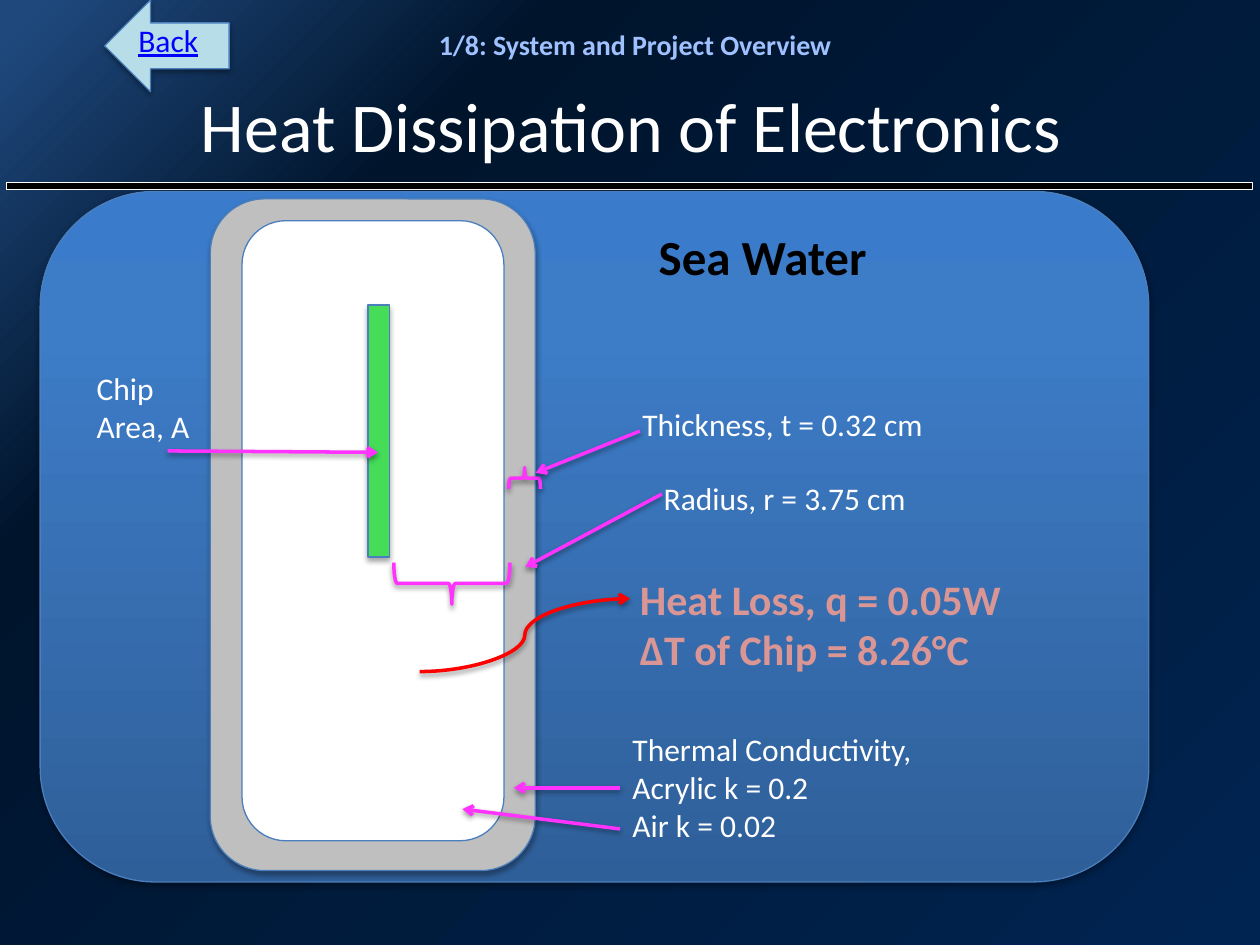
from lxml import etree
from pptx import Presentation
from pptx import util as u
from pptx.dml.color import RGBColor
from pptx.enum import shapes, text
from pptx.oxml.ns import qn

COLORS = {
    "white": "FFFFFF", "black": "000000", "edge": "4B7EBC", "acrylic": "BFBFBF",
    "chip": "45DC58", "pointer": "FF32FE", "heat": "FF0000", "result": "D99694",
    "section": "A0C1FF", "button": "B7DEE8", "link": "0000FF",
}
NIGHT = [(2, "1F497D", 100), (25, "00142C", 92), (100, "002451", 100)]
SEA = [(0, "2F5F99", 100), (80, "3D7CC7", 100), (100, "3A7CCB", 100)]
KIND = shapes.MSO_SHAPE
FONT = "Calibri"

# kind, (left, top, width, height) in cm, fill, line, line width, shadow, rotation
RULE = (KIND.RECTANGLE, (0.13, 3.68, 25.12, 0.13), "black", "white", 0.25, 0, 0)
WATER = (KIND.ROUNDED_RECTANGLE, (0.81, 3.86, 22.35, 13.92), SEA, "edge", 0.75, 35, 0)
PARTS = [
    (KIND.ROUNDED_RECTANGLE, (4.24, 4.01, 6.55, 13.54), "acrylic", "edge", 0.75, 35, 0),
    (KIND.ROUNDED_RECTANGLE, (4.88, 4.45, 5.28, 12.5), "white", "edge", 0.75, 0, 0),
    (KIND.RECTANGLE, (7.42, 6.15, 0.43, 5.08), "chip", "edge", 0.75, 35, 0),
    (KIND.LEFT_BRACE, (10.36, 9.32, 0.43, 0.64), None, "pointer", 2, 38, 90),
    (KIND.LEFT_BRACE, (8.69, 10.59, 0.84, 2.34), None, "pointer", 2, 38, 270),
]
BACK_ARROW = (KIND.LEFT_ARROW, (2.11, 0, 2.51, 1.85), "button", "edge", 0.75, 35, 0)

# lines of text, place in cm, size, colour, bold
SECTION = (["1/8: System and Project Overview"], (8.26, 0.43, 9.09, 0.94), 16, "section", True)
TITLE = (["Heat Dissipation of Electronics"], (2.24, 1.4, 20.96, 2.24), 40, "white", False)
BACK = (["Back"], (2.54, 0.3, 1.73, 1.02), 18, "link", False)
LABELS = [
    (["Thickness, t = 0.32 cm"], (12.7, 8.05, 6.22, 1.02), 18, "white", False),
    (["Heat Loss, q = 0.05W", "ΔT of Chip = 8.26°C"], (12.65, 11.43, 7.87, 2.31), 24, "result", True),
    (["Sea Water"], (13.03, 4.45, 4.75, 1.45), 28, "black", True),
    (["Thermal Conductivity,", "Acrylic k = 0.2", "Air k = 0.02"],
     (12.5, 14.6, 6.2, 3.33), 18, "white", False),
    (["Chip", "Area, A"], (1.7, 7.32, 2.41, 1.8), 18, "white", False),
    (["Radius, r = 3.75 cm"], (13.13, 9.53, 5.44, 1.02), 18, "white", False),
]

# from x, from y, to x, to y in cm
POINTERS = [
    (12.9, 8.69, 10.8, 9.53),
    (12.5, 15.88, 10.36, 15.88),
    (3.38, 9.09, 7.62, 9.12),
    (12.5, 16.71, 9.32, 16.31),
    (13.34, 9.96, 10.59, 11.43),
]
HEAT_FLOW = (8.46, 13.54, 12.7, 12.07)


def cm(values):
    return [u.Cm(value) for value in values]


def rgb(name):
    return RGBColor.from_string(COLORS[name])


def add_xml(parent, tag, **attributes):
    return etree.SubElement(parent, qn(tag), attributes)


def paint_gradient(fill, owner, stops, angle):
    """Give the fill, found inside the owner element, any number of stops."""
    fill.gradient()
    fill.gradient_angle = 360 - angle
    stop_list = owner.find(".//" + qn("a:gsLst"))
    for old in list(stop_list):
        stop_list.remove(old)
    for position, color, alpha in stops:
        stop = add_xml(stop_list, "a:gs", pos=str(position * 1000))
        tint = add_xml(stop, "a:srgbClr", val=color)
        if alpha < 100:
            add_xml(tint, "a:alpha", val=str(alpha * 1000))


def add_shadow(shape, alpha, distance):
    effects = add_xml(shape._element.spPr, "a:effectLst")
    if alpha:
        shadow = add_xml(effects, "a:outerShdw", blurRad=str(u.Pt(3.1)),
                         dist=str(u.Pt(distance)), dir="5400000", rotWithShape="0")
        tint = add_xml(shadow, "a:srgbClr", val=COLORS["black"])
        add_xml(tint, "a:alpha", val=str(alpha * 1000))


def add_part(tree, kind, place, fill, line, width, shadow, rotation):
    part = tree.add_shape(kind, *cm(place))
    part.rotation = rotation
    if fill is None:
        part.fill.background()
    elif fill in COLORS.values() or isinstance(fill, str):
        part.fill.solid()
        part.fill.fore_color.rgb = rgb(fill)
    else:
        paint_gradient(part.fill, part._element, fill, 270)
    part.line.color.rgb = rgb(line)
    part.line.width = u.Pt(width)
    add_shadow(part, shadow, 1.8)


def add_label(tree, lines, place, size, color, bold, centred=False):
    label = tree.add_textbox(*cm(place))
    frame = label.text_frame
    frame.word_wrap = centred
    frame.text = "\n".join(lines)
    for paragraph in frame.paragraphs:
        if centred:
            paragraph.alignment = text.PP_ALIGN.CENTER
        for run in paragraph.runs:
            run.font.name = FONT
            run.font.size = u.Pt(size)
            run.font.bold = bold
            run.font.color.rgb = rgb(color)
    return label


def add_arrow(tree, kind, ends, color):
    arrow = tree.add_connector(kind, *cm(ends))
    arrow.line.color.rgb = rgb(color)
    arrow.line.width = u.Pt(2)
    add_xml(arrow.line._get_or_add_ln(), "a:tailEnd", type="arrow")
    add_shadow(arrow, 38, 1.6)


def main():
    deck = Presentation()
    deck.slide_width, deck.slide_height = cm((25.4, 19.05))
    slide = deck.slides.add_slide(deck.slide_layouts[6])
    paint_gradient(slide.background.fill, slide._element, NIGHT, 45)
    tree = slide.shapes

    add_part(tree, *RULE)
    add_label(tree, *SECTION, centred=True)
    add_part(tree, *WATER)
    title = add_label(tree, *TITLE, centred=True)
    title.text_frame.vertical_anchor = text.MSO_ANCHOR.MIDDLE

    for part in PARTS:
        add_part(tree, *part)
    for label in LABELS:
        add_label(tree, *label)
    for ends in POINTERS:
        add_arrow(tree, shapes.MSO_CONNECTOR.STRAIGHT, ends, "pointer")
    add_arrow(tree, shapes.MSO_CONNECTOR.CURVE, HEAT_FLOW, "heat")

    button = tree.add_group_shape().shapes
    add_part(button, *BACK_ARROW)
    back = add_label(button, *BACK)
    back.text_frame.paragraphs[0].runs[0].font.underline = True

    deck.save("out.pptx")


if __name__ == "__main__":
    main()
